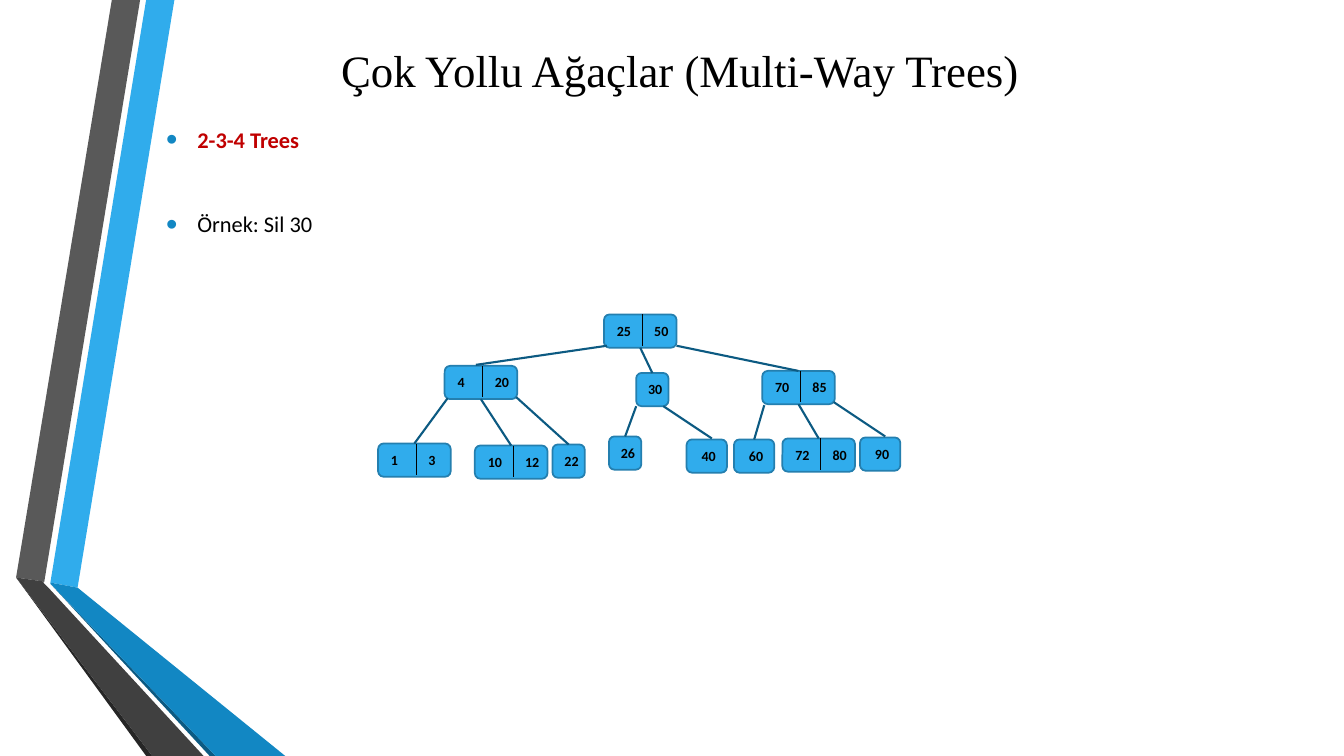
from lxml import etree
from pptx import Presentation
from pptx import util as u
from pptx.dml.color import RGBColor
from pptx.enum import shapes, text
from pptx.oxml import ns

TITLE = "Çok Yollu Ağaçlar (Multi-Way Trees)"
BULLETS = [
    ("2-3-4 Trees", dict(color="C00000", bold=True, align=text.PP_ALIGN.JUSTIFY)),
    ("Örnek: Sil 30", dict(before=31.5)),
]
RIBBONS = [
    ("30ACEC", [(0.5, 5.78), (0.77, 5.83), (1.73, 0), (1.45, 0)]),
    ("595959", [(1.39, 0), (1.11, 0), (0.16, 5.73), (0.44, 5.77)]),
    ("262626", [(0.16, 5.73), (1.45, 7.5), (1.51, 7.5)]),
    ("0C5A82", [(0.5, 5.79), (2.08, 7.5), (2.14, 7.5)]),
    ("1287C3", [(0.5, 5.79), (2.14, 7.5), (2.83, 7.5), (0.77, 5.83), (0.5, 5.78)]),
    ("404040", [(2.02, 7.5), (0.48, 5.83), (0.43, 5.78), (0.44, 5.77),
                (0.16, 5.73), (1.51, 7.5)]),
]
NODES = {
    "25 50": (5.99, 3.12, 0.72),
    "4 20": (4.41, 3.63, 0.72),
    "30": (6.31, 3.7, 0.32),
    "70 85": (7.56, 3.68, 0.72),
    "1 3": (3.75, 4.4, 0.72),
    "10 12": (4.71, 4.42, 0.72),
    "22": (5.48, 4.41, 0.32),
    "26": (6.04, 4.33, 0.32),
    "40": (6.81, 4.36, 0.4),
    "60": (7.28, 4.36, 0.4),
    "72 80": (7.76, 4.35, 0.72),
    "90": (8.53, 4.34, 0.4),
}
EDGES = [
    ("25 50", "4 20", (6.02, 3.43), (4.72, 3.62)),
    ("25 50", "30", None, None),
    ("25 50", "70 85", (6.71, 3.43), None),
    ("4 20", "1 3", (4.44, 3.95), None),
    ("4 20", "10 12", None, None),
    ("4 20", "22", (5.12, 3.94), None),
    ("30", "26", (6.31, 4.03), None),
    ("30", "40", (6.58, 4.03), (7.06, 4.35)),
    ("70 85", "60", (7.58, 4.02), None),
    ("70 85", "72 80", None, None),
    ("70 85", "90", (8.27, 3.99), (8.78, 4.33)),
]
NODE_HEIGHT = 0.33
KEY_OFFSETS = {0.72: (0.03, 0.4), 0.32: (0.02,), 0.4: (0.05,)}

deck = Presentation()
deck.slide_width, deck.slide_height = u.Inches(13.33), u.Inches(7.5)
page = deck.slides.add_slide(deck.slide_layouts[6])


def rgb(code):
    return RGBColor.from_string(code)


def inches(*values):
    return [u.Inches(value) for value in values]


def add_bullet(para):
    properties = para._p.get_or_add_pPr()
    properties.set("marL", str(u.Inches(0.31)))
    properties.set("indent", str(-u.Inches(0.31)))
    color = etree.SubElement(properties, ns.qn("a:buClr"))
    etree.SubElement(color, ns.qn("a:srgbClr"), val="1287C3")
    etree.SubElement(properties, ns.qn("a:buSzPct"), val="145000")
    etree.SubElement(properties, ns.qn("a:buFont"), typeface="Arial")
    etree.SubElement(properties, ns.qn("a:buChar"), char="•")


def write(para, words, size=16, font="Calibri", color="000000", bold=False,
          align=text.PP_ALIGN.LEFT, before=0, spacing=None, bullet=False):
    if bullet:
        add_bullet(para)
    para.alignment = align
    para.space_before = u.Pt(before)
    if spacing:
        para.line_spacing = spacing
    span = para.add_run()
    span.text = words
    span.font.size = u.Pt(size)
    span.font.name = font
    span.font.bold = bold
    span.font.color.rgb = rgb(color)


def add_box(left, top, width, height, anchor=text.MSO_ANCHOR.TOP):
    frame = page.shapes.add_textbox(*inches(left, top, width, height)).text_frame
    frame.word_wrap = True
    frame.vertical_anchor = anchor
    return frame


def add_line(start, end, color, width):
    line = page.shapes.add_connector(shapes.MSO_CONNECTOR.STRAIGHT,
                                     *inches(*start, *end))
    line.line.color.rgb = rgb(color)
    line.line.width = u.Pt(width)
    etree.SubElement(line._element.spPr, ns.qn("a:effectLst"))
    return line


def add_ribbon(color, points):
    corners = [inches(*point) for point in points]
    builder = page.shapes.build_freeform(*corners[0])
    builder.add_line_segments(corners[1:], close=True)
    ribbon = builder.convert_to_shape()
    ribbon.shadow.inherit = False
    ribbon.fill.solid()
    ribbon.fill.fore_color.rgb = rgb(color)
    ribbon.line.fill.background()


def add_node(left, top, width):
    node = page.shapes.add_shape(shapes.MSO_SHAPE.ROUNDED_RECTANGLE,
                                 *inches(left, top, width, NODE_HEIGHT))
    node.shadow.inherit = False
    node.fill.solid()
    node.fill.fore_color.rgb = rgb("30ACEC")
    node.line.color.rgb = rgb("247FAF")
    node.line.width = u.Pt(1.25)
    return node


def add_keys(name, left, top, width):
    keys = name.split()
    if len(keys) == 2:
        middle = left + 0.38
        add_line((middle, top), (middle, top + 0.31), "000000", 0.75)
    for key, offset in zip(keys, KEY_OFFSETS[width]):
        frame = add_box(left + offset, top + 0.03, 0.36, 0.27)
        write(frame.paragraphs[0], key, size=10, bold=True)


def add_edge(parent, child, start, end):
    left, top, width = NODES[parent]
    bottom = (left + width / 2, top + NODE_HEIGHT)
    left, top, width = NODES[child]
    edge = add_line(start or bottom, end or (left + width / 2, top), "0C5A82", 1.5)
    if start is None:
        edge.begin_connect(nodes[parent], 2)
    if end is None:
        edge.end_connect(nodes[child], 0)


for ribbon_color, ribbon_points in RIBBONS:
    add_ribbon(ribbon_color, ribbon_points)

title = add_box(1.55, 0.17, 10.39, 1.04, text.MSO_ANCHOR.MIDDLE)
write(title.paragraphs[0], TITLE, size=32, font="Times New Roman",
      align=text.PP_ALIGN.CENTER)

body = add_box(1.55, 1.07, 10.39, 2.23)
for index, (words, style) in enumerate(BULLETS):
    para = body.add_paragraph() if index else body.paragraphs[0]
    write(para, words, spacing=1.5, bullet=True, **style)

nodes = {name: add_node(*place) for name, place in NODES.items()}
for edge_parts in EDGES:
    add_edge(*edge_parts)
for name, place in NODES.items():
    add_keys(name, *place)

deck.save("out.pptx")
